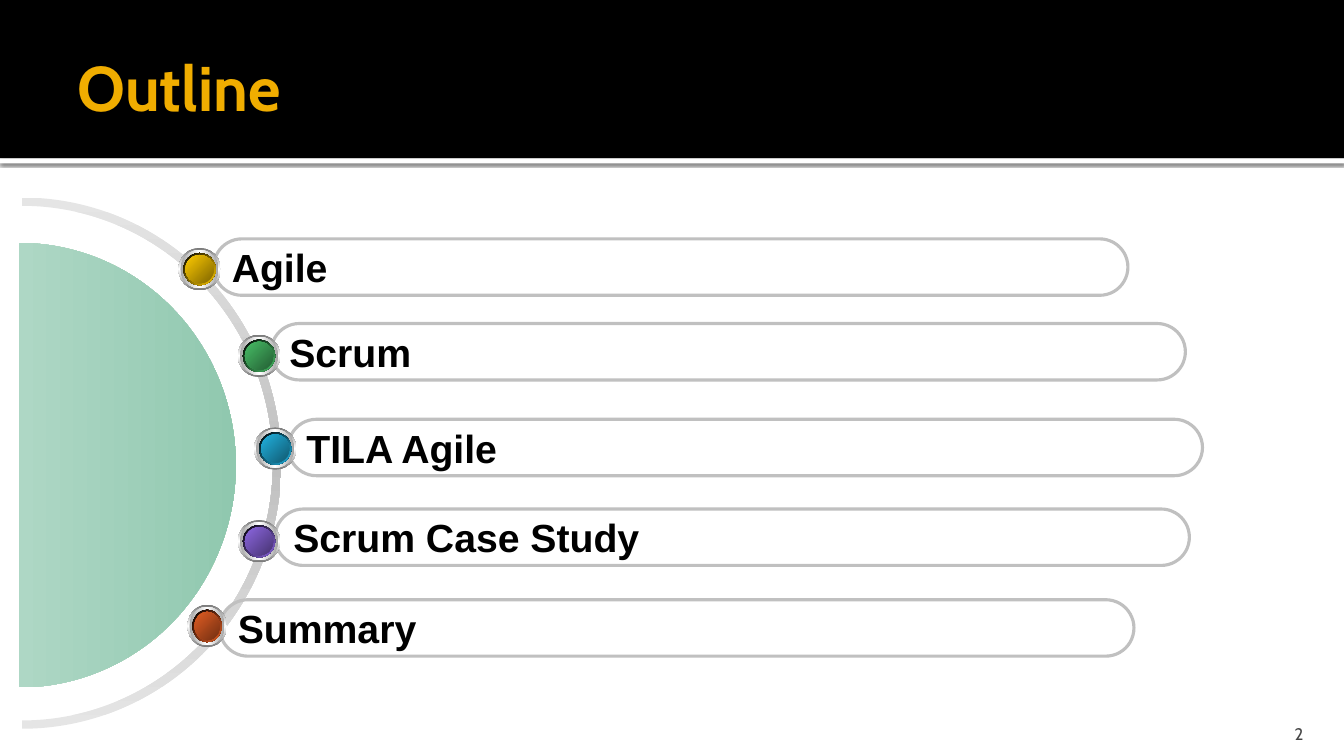
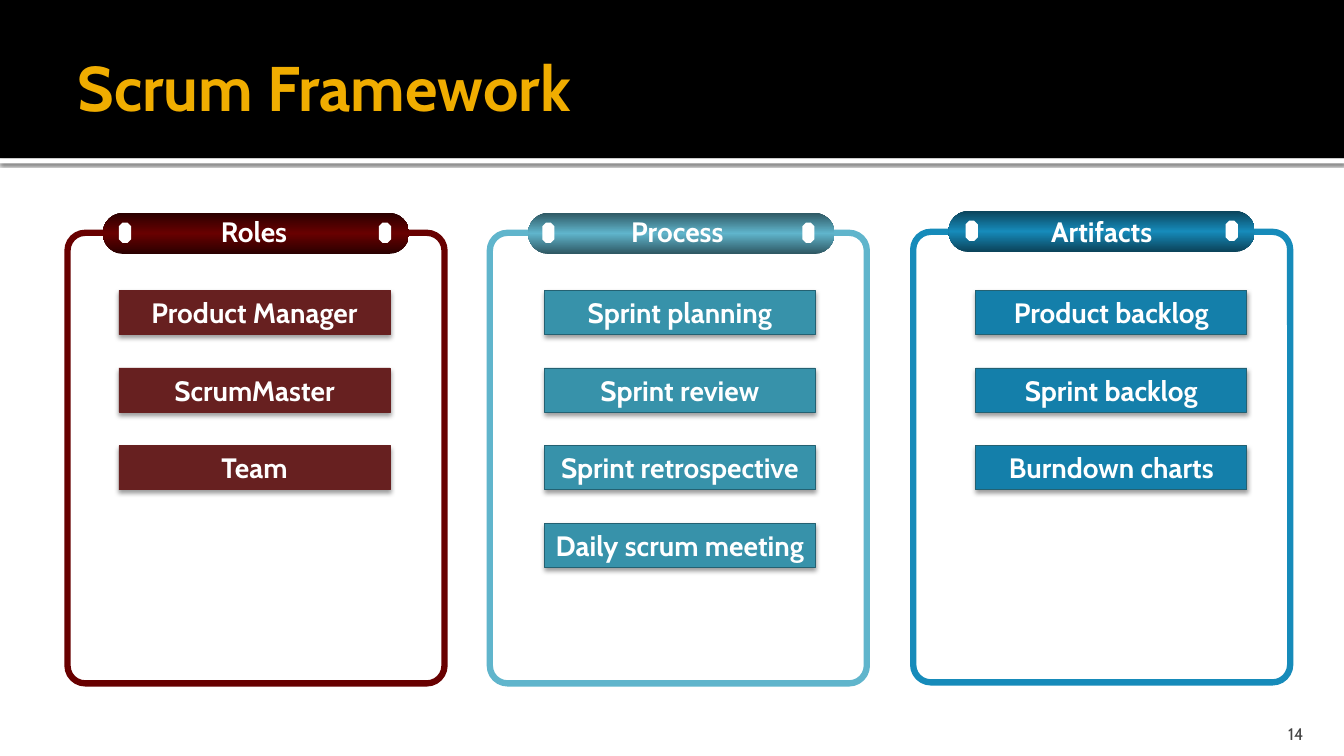
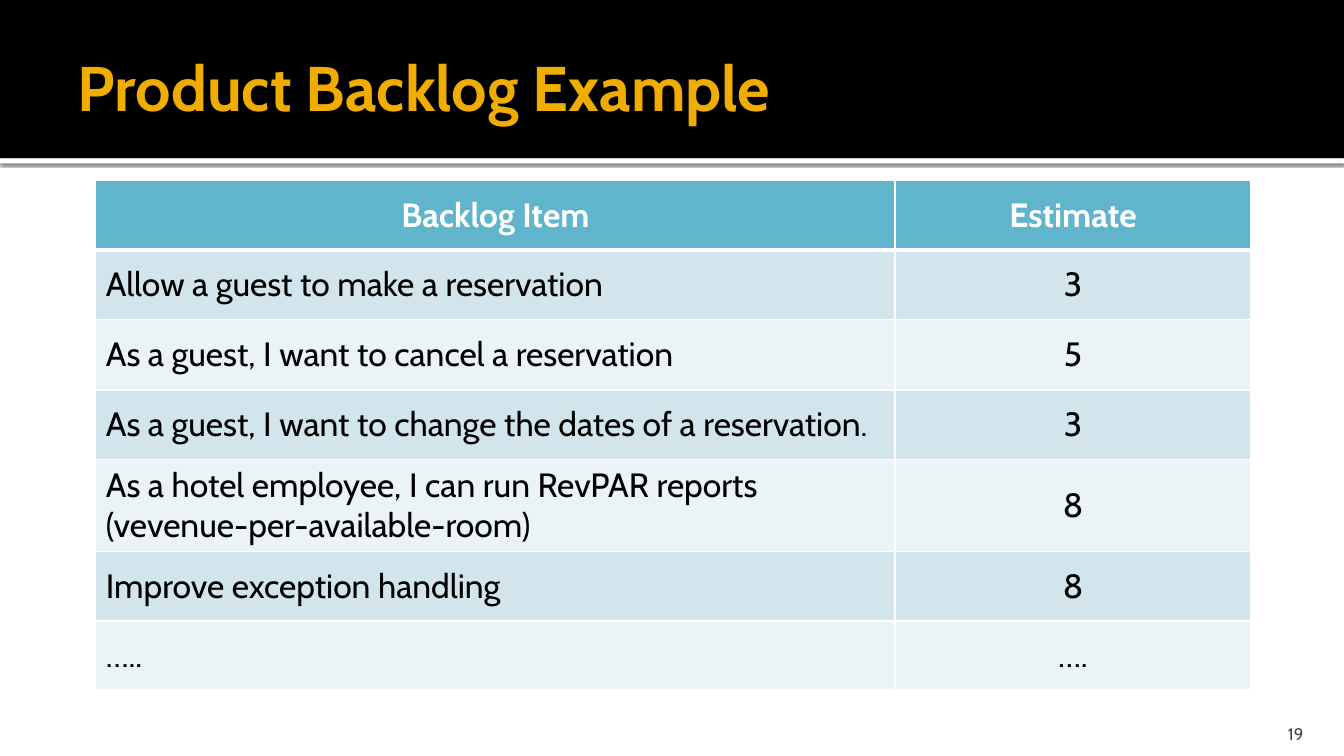
"""Build three slides on Scrum: an outline, the framework and a sample backlog."""
from dataclasses import dataclass
from typing import NamedTuple

import pptx
import pptx.dml.color
import pptx.enum.shapes
import pptx.enum.text
import pptx.oxml
import pptx.oxml.ns
import pptx.util

RGB = pptx.dml.color.RGBColor
KIND = pptx.enum.shapes.MSO_SHAPE
ALIGN = pptx.enum.text.PP_ALIGN
ANCHOR = pptx.enum.text.MSO_ANCHOR

SCALE = 9144
NS = pptx.oxml.ns.nsdecls("a")
CABIN = "Cabin"
ARIAL = "Arial"
UP, DOWN = 162, 54

BLACK = RGB(0x00, 0x00, 0x00)
WHITE = RGB(0xFF, 0xFF, 0xFF)
GOLD = RGB(0xF0, 0xAD, 0x00)
SLATE = RGB(0x45, 0x45, 0x45)
SILVER = RGB(0xC0, 0xC0, 0xC0)
PEARL = RGB(0xE5, 0xE5, 0xE5)
STEEL = RGB(0x79, 0x79, 0x79)
CHROME = RGB(0xA5, 0xA5, 0xA5)
MINT = RGB(0xCF, 0xE7, 0xDC)
JADE = RGB(0x90, 0xC8, 0xAF)
AMBER = RGB(0xFF, 0xCC, 0x00)
OCHRE = RGB(0x80, 0x66, 0x00)
GREEN = RGB(0x48, 0xBE, 0x67)
FOREST = RGB(0x24, 0x5F, 0x34)
SKY = RGB(0x21, 0xB3, 0xE1)
OCEAN = RGB(0x11, 0x5A, 0x71)
VIOLET = RGB(0x8D, 0x67, 0xE1)
GRAPE = RGB(0x47, 0x34, 0x71)
ORANGE = RGB(0xE3, 0x5E, 0x23)
RUST = RGB(0x72, 0x2F, 0x12)
MAROON = RGB(0x68, 0x00, 0x00)
WINE = RGB(0x2A, 0x00, 0x00)
BRICK = RGB(0x67, 0x20, 0x20)
AQUA = RGB(0x60, 0xB5, 0xCC)
TEAL = RGB(0x2E, 0x57, 0x62)
LAGOON = RGB(0x37, 0x92, 0xAA)
BLUE = RGB(0x16, 0x8B, 0xBA)
NAVY = RGB(0x0B, 0x42, 0x59)
COBALT = RGB(0x14, 0x7F, 0xAA)
EDGE = RGB(0x24, 0x61, 0x72)
MIST = RGB(0xD2, 0xE5, 0xEC)
FROST = RGB(0xEA, 0xF3, 0xF6)


class Area(NamedTuple):
    left: int
    top: int
    width: int
    height: int


class Style(NamedTuple):
    size: int
    color: RGB
    font: str = CABIN
    bold: bool = True
    align: ALIGN = ALIGN.CENTER
    anchor: ANCHOR = ANCHOR.MIDDLE


class Shade(NamedTuple):
    alpha: int
    blur: float
    dist: float


@dataclass
class Topic:
    text: str
    left: int
    top: int
    dot: Area
    light: RGB
    dark: RGB


@dataclass
class Column:
    name: str
    panel: int
    top: int
    cap: int
    peak: int
    knob: int
    mid: int
    box: int
    color: RGB
    deep: RGB
    fill: RGB
    edge: RGB
    items: list[str]


TITLE = Style(45, GOLD, align=ALIGN.LEFT)
PAGE = Style(12, SLATE, bold=False, align=ALIGN.RIGHT, anchor=ANCHOR.BOTTOM)
TOPIC = Style(28, BLACK, ARIAL, align=ALIGN.LEFT)
LABEL = Style(20, WHITE)
HEAD = Style(24, WHITE)
CELL = Style(24, BLACK, bold=False)

TOPICS = [
    Topic("Agile", 212, 237, Area(177, 246, 42, 42), AMBER, OCHRE),
    Topic("Scrum", 269, 321, Area(236, 332, 42, 42), GREEN, FOREST),
    Topic("TILA Agile", 286, 416, Area(252, 424, 42, 42), SKY, OCEAN),
    Topic("Scrum Case Study", 273, 505, Area(236, 516, 42, 42), VIOLET, GRAPE),
    Topic("Summary", 218, 595, Area(186, 600, 39, 42), ORANGE, RUST),
]

COLUMNS = [
    Column("Roles", 67, 231, 102, 211, 118, 252, 118, MAROON, WINE, BRICK, BRICK,
           ["Product Manager", "ScrumMaster", "Team"]),
    Column("Process", 486, 231, 524, 211, 538, 672, 540, AQUA, TEAL, LAGOON, EDGE,
           ["Sprint planning", "Sprint review", "Sprint retrospective",
            "Daily scrum meeting"]),
    Column("Artifacts", 906, 230, 941, 209, 958, 1093, 968, BLUE, NAVY, COBALT, EDGE,
           ["Product backlog", "Sprint backlog", "Burndown charts"]),
]

BACKLOG = [
    ("Backlog Item", "Estimate"),
    ("Allow a guest to make a reservation", "3"),
    ("As a guest, I want to cancel a reservation", "5"),
    ("As a guest, I want to change the dates of a reservation.", "3"),
    ("As a hotel employee, I can run RevPAR reports (vevenue-per-available-room)", "8"),
    ("Improve exception handling", "8"),
    ("…..", "…."),
]
WIDTHS = (793, 353)
HEIGHTS = (69, 69, 70, 69, 69, 69, 68)


def px(num: int) -> pptx.util.Emu:
    return pptx.util.Emu(num * SCALE)


def place(area: Area) -> list[pptx.util.Emu]:
    return [px(num) for num in area]


def inset(area: Area, gap: int) -> Area:
    return Area(area.left + gap, area.top + gap, area.width - 2 * gap, area.height - 2 * gap)


def ink(frame, text: str, style: Style) -> None:
    frame.text = text
    frame.word_wrap = True
    for para in frame.paragraphs:
        para.alignment = style.align
        for run in para.runs:
            run.font.name = style.font
            run.font.size = pptx.util.Pt(style.size)
            run.font.bold = style.bold
            run.font.color.rgb = style.color


def write(shape, text: str, style: Style, pad: tuple = (10, 5, 10, 5)) -> None:
    frame = shape.text_frame
    ink(frame, text, style)
    frame.auto_size = pptx.enum.text.MSO_AUTO_SIZE.NONE
    frame.vertical_anchor = style.anchor
    frame.margin_left, frame.margin_top, frame.margin_right, frame.margin_bottom = map(px, pad)


def blend(shape, colors: list[RGB], turn: int) -> None:
    shape.fill.background()
    last = len(colors) - 1
    stops = "".join(
        f'<a:gs pos="{100000 * at // last}"><a:srgbClr val="{color}"/></a:gs>'
        for at, color in enumerate(colors))
    grad = pptx.oxml.parse_xml(
        f'<a:gradFill {NS} rotWithShape="1"><a:gsLst>{stops}</a:gsLst>'
        f'<a:lin ang="{turn * 60000}" scaled="0"/></a:gradFill>')
    props = shape.element.spPr
    props.replace(props.find(pptx.oxml.ns.qn("a:noFill")), grad)


def cast(shape, shade: Shade) -> None:
    glow = pptx.oxml.parse_xml(
        f'<a:outerShdw {NS} blurRad="{pptx.util.Pt(shade.blur)}" '
        f'dist="{pptx.util.Pt(shade.dist)}" dir="5400000" algn="t" rotWithShape="0">'
        f'<a:srgbClr val="000000"><a:alpha val="{shade.alpha * 1000}"/></a:srgbClr>'
        f'</a:outerShdw>')
    shape.element.spPr.find(pptx.oxml.ns.qn("a:effectLst")).append(glow)


def draw(slide, kind: KIND, area: Area, fill: RGB | None = None, line: RGB | None = None,
         weight: float = 1, bend: tuple = ()):
    shape = slide.shapes.add_shape(kind, *place(area))
    shape.shadow.inherit = False
    for at, value in enumerate(bend):
        shape.adjustments[at] = value
    if fill is None:
        shape.fill.background()
    else:
        shape.fill.solid()
        shape.fill.fore_color.rgb = fill
    if line is None:
        shape.line.fill.background()
    else:
        shape.line.color.rgb = line
        shape.line.width = pptx.util.Pt(weight)
    return shape


def label(slide, area: Area, text: str, style: Style, pad: tuple = (10, 5, 10, 5)) -> None:
    write(slide.shapes.add_textbox(*place(area)), text, style, pad)


def start(deck, title: str, number: int):
    slide = deck.slides.add_slide(deck.slide_layouts[5])
    head = slide.shapes.title
    head.left, head.top, head.width, head.height = place(Area(67, 17, 1200, 137))
    write(head, title, TITLE, (10, 5, 5, 5))
    label(slide, Area(1196, 708, 107, 30), str(number), PAGE, (10, 5, 10, 0))
    return slide


def share(slide) -> None:
    """Draw the header bands and move them to the layout of all slides."""
    rule = draw(slide, KIND.RECTANGLE, Area(0, 157, 1334, 5), WHITE)
    cast(rule, Shade(60, 2.5, 0.8))
    band = draw(slide, KIND.RECTANGLE, Area(0, 0, 1334, 157), BLACK)
    for part in (rule, band):
        slide.slide_layout.shapes.element.append(part.element)


def outline(slide) -> None:
    ring = draw(slide, KIND.BLOCK_ARC, Area(-235, 196, 514, 527), bend=(UP, DOWN, 0.016))
    blend(ring, [PEARL, SILVER, PEARL], 90)
    disc = draw(slide, KIND.CHORD, Area(-196, 241, 430, 441), bend=(UP, DOWN))
    blend(disc, [MINT, JADE], 0)
    for topic in TOPICS:
        pill = draw(slide, KIND.ROUNDED_RECTANGLE, Area(topic.left, topic.top, 907, 56),
                    line=SILVER, weight=2.25, bend=(0.5,))
        write(pill, topic.text, TOPIC)
        layers = [
            (0, [STEEL, WHITE, STEEL], 90),
            (2, [CHROME, WHITE, CHROME], 0),
            (5, [BLACK, topic.light], 45),
            (7, [topic.light, topic.dark], 45),
        ]
        for gap, colors, turn in layers:
            blend(draw(slide, KIND.OVAL, inset(topic.dot, gap)), colors, turn)


def frame(slide) -> None:
    for col in COLUMNS:
        draw(slide, KIND.ROUNDED_RECTANGLE, Area(col.panel, col.top, 374, 447),
             line=col.color, weight=4.5, bend=(0.047,))
        cap = draw(slide, KIND.ROUNDED_RECTANGLE, Area(col.cap, col.peak, 304, 41), bend=(0.5,))
        blend(cap, [col.deep, col.color, col.deep], 90)
        for left in (col.knob, col.knob + 258):
            draw(slide, KIND.OCTAGON, Area(left, col.peak + 10, 12, 20), WHITE)
        label(slide, Area(col.mid - 65, 207, 130, 44), col.name, LABEL)
        for row, item in enumerate(col.items):
            box = draw(slide, KIND.RECTANGLE, Area(col.box, 288 + 77 * row, 269, 44),
                       col.fill, col.edge, 0.5)
            cast(box, Shade(38, 3.5, 2))
            write(box, item, LABEL, (5, 5, 5, 5))


def border(cell, top: int, foot: int) -> None:
    props = cell._tc.get_or_add_tcPr()
    sides = {"L": 1, "R": 1, "T": top, "B": foot}
    for at, (side, weight) in enumerate(sides.items()):
        props.insert(at, pptx.oxml.parse_xml(
            f'<a:ln{side} {NS} w="{pptx.util.Pt(weight)}"><a:solidFill>'
            f'<a:srgbClr val="{WHITE}"/></a:solidFill></a:ln{side}>'))


def backlog(slide) -> None:
    area = Area(95, 179, sum(WIDTHS), sum(HEIGHTS))
    table = slide.shapes.add_table(len(BACKLOG), 2, *place(area)).table
    for col, width in zip(table.columns, WIDTHS):
        col.width = px(width)
    for row, (texts, height) in enumerate(zip(BACKLOG, HEIGHTS)):
        table.rows[row].height = px(height)
        for col, text in enumerate(texts):
            cell = table.cell(row, col)
            style = HEAD if row == 0 else CELL
            if row and col == 0:
                style = style._replace(align=ALIGN.LEFT)
            ink(cell.text_frame, text, style)
            cell.vertical_anchor = style.anchor
            cell.fill.solid()
            cell.fill.fore_color.rgb = AQUA if row == 0 else (FROST, MIST)[row % 2]
            border(cell, 3 if row == 1 else 1, 3 if row == 0 else 1)


def main() -> None:
    deck = pptx.Presentation()
    deck.slide_width = pptx.util.Emu(12192000)
    deck.slide_height = px(750)
    first = start(deck, "Outline", 2)
    share(first)
    outline(first)
    frame(start(deck, "Scrum Framework", 14))
    backlog(start(deck, "Product Backlog Example", 19))
    deck.save("out.pptx")


if __name__ == "__main__":
    main()
